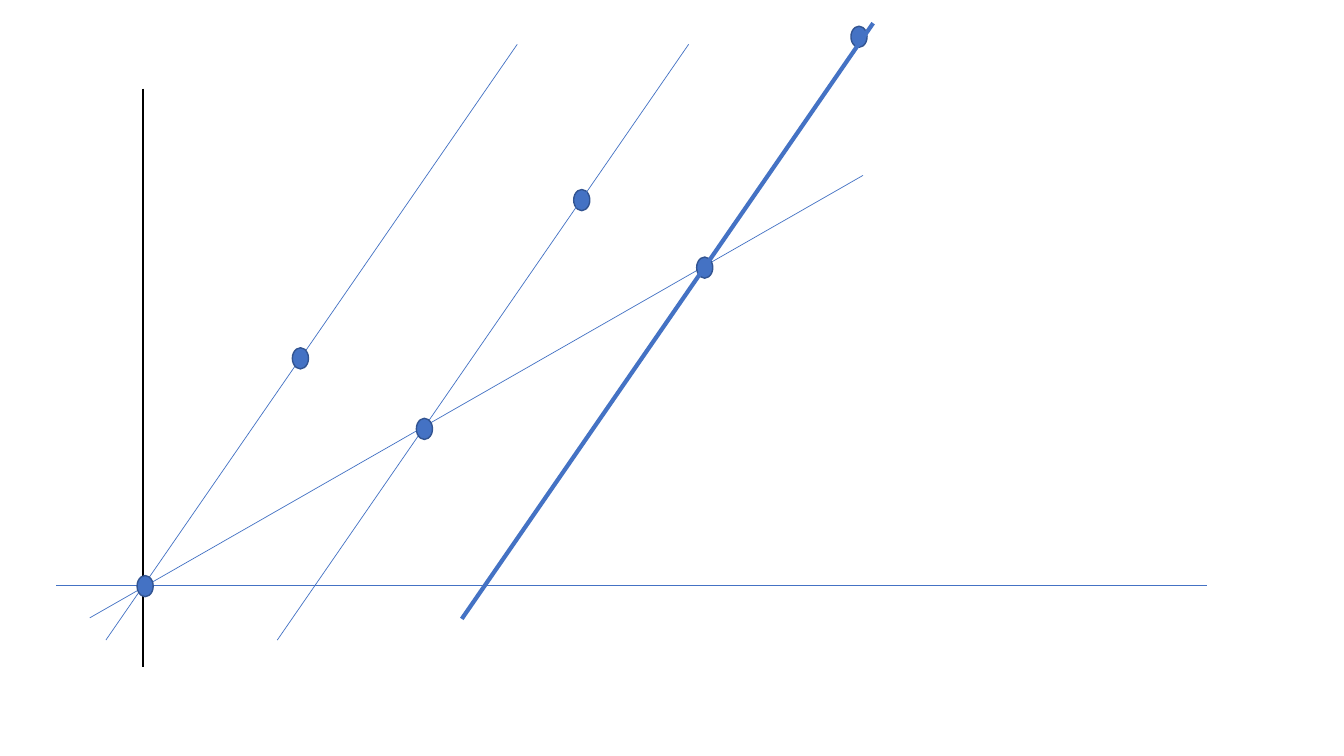
from pptx import Presentation
from pptx.dml.color import RGBColor
from pptx.enum.shapes import MSO_CONNECTOR, MSO_SHAPE
from pptx.oxml.ns import qn
from pptx.util import Pt
from lxml.etree import SubElement

EMU_PER_PX = 9144  # 100 px to the inch
BLACK, BLUE, DARK_BLUE = "000000", "4472C4", "325491"
THIN, AXIS, THICK = 0.5, 1.5, 3
DOT_SIZE = (16, 21)
PARALLEL_STEP = (408, -591)  # shared direction and length of the steep lines


def px(length):
    return length * EMU_PER_PX


def color(hex_value):
    return RGBColor.from_string(hex_value)


def style_line(line, hex_value, width):
    line.color.rgb = color(hex_value)
    line.width = Pt(width)


def add_line(page, start, end, hex_value=BLUE, width=THIN):
    line = page.shapes.add_connector(
        MSO_CONNECTOR.STRAIGHT, *map(px, (*start, *end)))
    style_line(line.line, hex_value, width)
    SubElement(line._element.spPr, qn("a:effectLst"))


def add_parallel(page, left, bottom, width=THIN):
    across, up = PARALLEL_STEP
    add_line(page, (left, bottom), (left + across, bottom + up), width=width)


def add_dots(page, *corners):
    for corner in corners:
        dot = page.shapes.add_shape(
            MSO_SHAPE.OVAL, *map(px, (*corner, *DOT_SIZE)))
        dot.shadow.inherit = False
        dot.fill.solid()
        dot.fill.fore_color.rgb = color(BLUE)
        style_line(dot.line, DARK_BLUE, 1)


def main():
    deck = Presentation()
    for side, length in {"slide_width": 1333, "slide_height": 750}.items():
        setattr(deck, side, px(length))
    page = deck.slides.add_slide(deck.slide_layouts[6])

    # Axes
    add_line(page, (142, 88), (142, 662), BLACK, AXIS)
    add_line(page, (56, 581), (1197, 581))

    # Shallow line that crosses the parallels
    add_line(page, (89, 613), (856, 174))

    # Parallel lines and their points, from back to front
    add_parallel(page, 105, 635)
    add_dots(page, (290, 345), (691, 255), (844, 26))
    add_parallel(page, 458, 614, THICK)
    add_dots(page, (569, 188))
    add_parallel(page, 275, 635)
    add_dots(page, (413, 415), (136, 571))

    deck.save("out.pptx")


if __name__ == "__main__":
    main()
